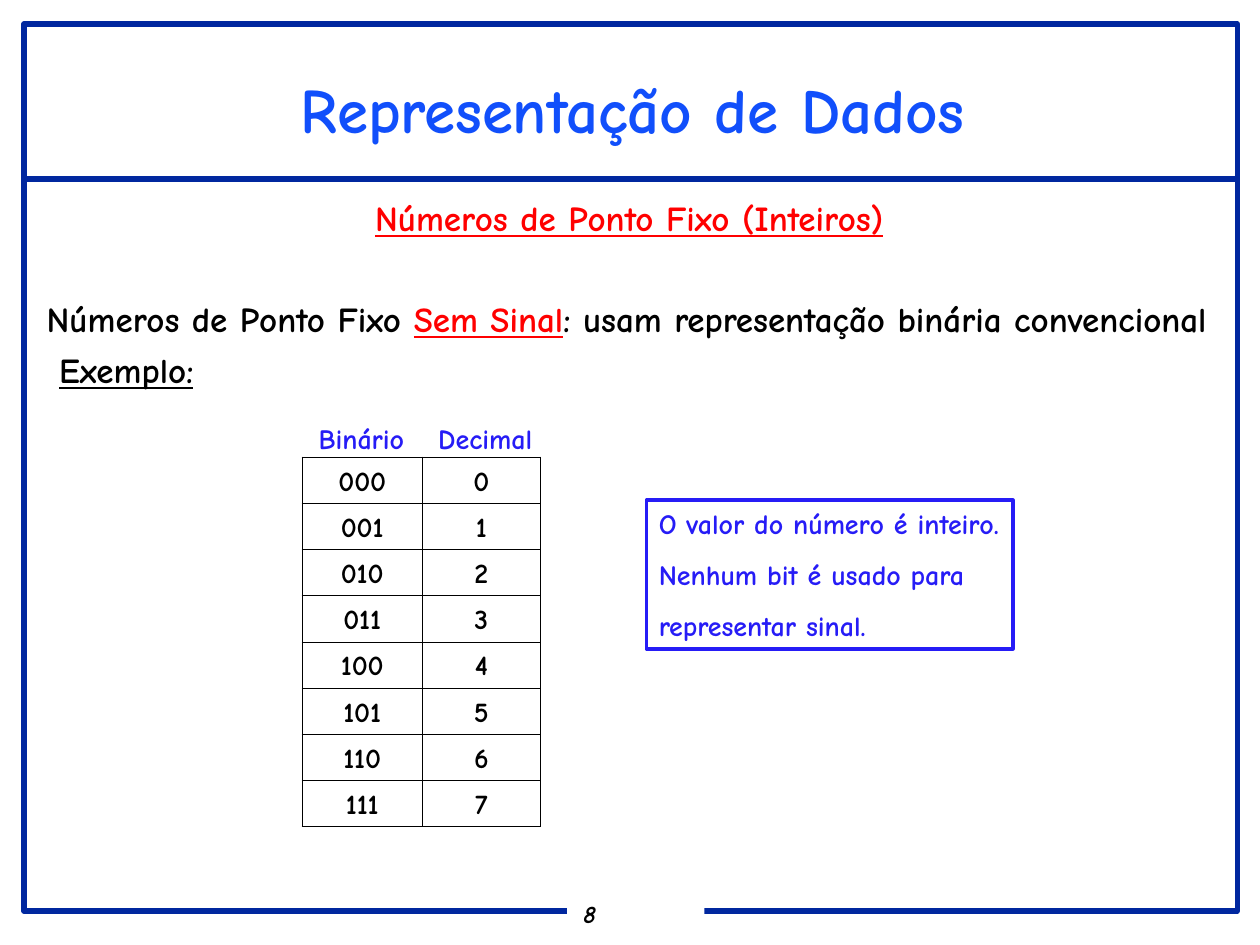
from lxml import etree
from pptx import Presentation
from pptx.dml.color import RGBColor
from pptx.enum.shapes import MSO_CONNECTOR, MSO_SHAPE
from pptx.enum.text import MSO_ANCHOR, MSO_AUTO_SIZE, PP_ALIGN
from pptx.oxml.ns import qn
from pptx.util import Inches, Pt

LEFT, CENTER, JUSTIFY = PP_ALIGN.LEFT, PP_ALIGN.CENTER, PP_ALIGN.JUSTIFY
TOP, MIDDLE, BOTTOM = MSO_ANCHOR.TOP, MSO_ANCHOR.MIDDLE, MSO_ANCHOR.BOTTOM
RECTANGLE, STRAIGHT = MSO_SHAPE.RECTANGLE, MSO_CONNECTOR.STRAIGHT
NO_AUTOFIT = MSO_AUTO_SIZE.NONE


def color(value):
    """Turn a hex string into a colour."""
    return RGBColor.from_string(value)


class SlideBuilder:
    """Holds the style and the current slide."""

    font = "Comic Neue"
    navy, blue, violet = "00279F", "114FFB", "261CF6"
    red, black, white = "FF0000", "000000", "FFFFFF"
    outer_border, inner_border = 1.08, 0.45

    def __init__(self, presentation):
        """Add a title and body slide."""
        self.slide = presentation.slides.add_slide(presentation.slide_layouts[1])

    def place(self, shape, box):
        """Move and size a shape."""
        shape.left, shape.top, shape.width, shape.height = map(Inches, box)

    def frame(self, shape, anchor=TOP, wrap=True, inset=(0.1, 0.05)):
        """Set up and return the text frame of a shape."""
        frame = shape.text_frame
        frame.auto_size = NO_AUTOFIT
        frame.word_wrap = wrap
        frame.vertical_anchor = anchor
        frame.margin_left = frame.margin_right = Inches(inset[0])
        frame.margin_top = frame.margin_bottom = Inches(inset[1])
        return frame

    def format(self, paragraph, size, ink, align=LEFT, spacing=1.0, before=0):
        """Set the layout and font of a paragraph."""
        paragraph.alignment = align
        paragraph.line_spacing = spacing
        paragraph.space_before = Pt(before)
        font = paragraph.font
        font.name, font.size, font.bold = self.font, Pt(size), True
        font.color.rgb = color(ink)

    def title(self, text, box):
        """Fill the title placeholder."""
        shape = self.slide.shapes.title
        self.place(shape, box)
        frame = self.frame(shape, MIDDLE, inset=(0.07, 0.03))
        frame.text = text
        self.format(frame.paragraphs[0], 36, self.blue, CENTER, 0.95)

    def body(self, paragraphs, box):
        """Fill the body placeholder from (align, before, indent, runs)."""
        shape = self.slide.placeholders[1]
        self.place(shape, box)
        frame = self.frame(shape)
        for index, (align, before, indent, runs) in enumerate(paragraphs):
            paragraph = frame.add_paragraph() if index else frame.paragraphs[0]
            properties = paragraph._p.get_or_add_pPr()
            properties.set("marL", str(Inches(indent)))
            properties.set("indent", "0")
            etree.SubElement(properties, qn("a:buNone"))
            self.format(paragraph, 20, self.black, align, 0.9, before)
            for text, ink, underline in runs:
                run = paragraph.add_run()
                run.text = text
                run.font.color.rgb = color(ink)
                run.font.underline = underline

    def rectangle(self, box, line=None, width=0, fill=None):
        """Draw a rectangle with an optional line and fill."""
        shape = self.slide.shapes.add_shape(RECTANGLE, *map(Inches, box))
        shape.shadow.inherit = False
        if fill:
            shape.fill.solid()
            shape.fill.fore_color.rgb = color(fill)
        else:
            shape.fill.background()
        if line:
            shape.line.color.rgb = color(line)
            shape.line.width = Pt(width)
        else:
            shape.line.fill.background()
        return shape

    def rule(self, left, right, y):
        """Draw a horizontal line."""
        ends = map(Inches, (left, y, right, y))
        connector = self.slide.shapes.add_connector(STRAIGHT, *ends)
        connector.line.color.rgb = color(self.navy)
        connector.line.width = Pt(3)
        etree.SubElement(connector._element.spPr, qn("a:effectLst"))

    def page_number(self, text, box):
        """Write the page number over a gap in the frame."""
        shape = self.rectangle(box, fill=self.white)
        frame = self.frame(shape, MIDDLE, inset=(0.13, 0.03))
        frame.text = text
        paragraph = frame.paragraphs[0]
        self.format(paragraph, 14, self.black, spacing=0.9)
        paragraph.font.italic = True

    def label(self, text, box):
        """Add a column label."""
        shape = self.slide.shapes.add_textbox(*map(Inches, box))
        frame = self.frame(shape, wrap=False)
        frame.text = text
        self.format(frame.paragraphs[0], 16, self.violet)

    def note(self, lines, box):
        """Add an outlined note."""
        shape = self.rectangle(box, self.violet, 2)
        frame = self.frame(shape, wrap=False)
        frame.text = "\n".join(lines)
        for index, paragraph in enumerate(frame.paragraphs):
            self.format(paragraph, 16, self.violet, before=10 if index else 0)

    def borders(self, cell, outer_sides):
        """Draw the four borders of a cell, heavier on its outer sides."""
        properties = cell._tc.get_or_add_tcPr()
        for side in "LRTB":
            width = self.outer_border if side in outer_sides else self.inner_border
            line = etree.SubElement(properties, qn(f"a:ln{side}"), w=str(Pt(width)))
            fill = etree.SubElement(line, qn("a:solidFill"))
            etree.SubElement(fill, qn("a:srgbClr"), val=self.black)

    def table(self, rows, left, top, widths, height):
        """Add a grid of centred values."""
        size = map(Inches, (left, top, sum(widths), height))
        table = self.slide.shapes.add_table(len(rows), len(widths), *size).table
        table.first_row = table.horz_banding = False
        for column, width in zip(table.columns, widths):
            column.width = Inches(width)
        last_row = len(rows) - 1
        for row_index, row in enumerate(rows):
            for column_index, text in enumerate(row):
                cell = table.cell(row_index, column_index)
                outer = "R" if column_index else "L"
                outer += {0: "T", last_row: "B"}.get(row_index, "")
                self.borders(cell, outer)
                cell.fill.background()
                cell.vertical_anchor = BOTTOM
                cell.text = text
                paragraph = cell.text_frame.paragraphs[0]
                self.format(paragraph, 16, self.black, CENTER, 0.9)


def main():
    """Build the slide and save it."""
    presentation = Presentation()
    presentation.slide_width, presentation.slide_height = Inches(10), Inches(7.5)
    builder = SlideBuilder(presentation)
    red, black = builder.red, builder.black

    builder.rule(0.19, 9.81, 1.42)
    builder.rectangle((0.19, 0.19, 9.63, 7.04), builder.navy, 3)
    builder.page_number("8", (4.5, 7.13, 1.09, 0.27))
    builder.title("Representação de Dados", (1.99, 0.57, 6.06, 0.63))
    builder.body([
        (CENTER, 0, 0, [("Números de Ponto Fixo (Inteiros)", red, True)]),
        (JUSTIFY, 36, 0, [
            ("Números de Ponto Fixo ", black, False),
            ("Sem Sinal", red, True),
            (": usam representação binária convencional", black, False),
        ]),
        (LEFT, 7.5, 0.1, [("Exemplo:", black, True)]),
    ], (0.27, 1.55, 9.45, 5.13))
    values = [(f"{number:03b}", str(number)) for number in range(8)]
    builder.table(values, 2.4, 3.63, (0.95, 0.94), 2.93)
    builder.label("Binário", (2.43, 3.3, 0.88, 0.37))
    builder.label("Decimal", (3.38, 3.3, 0.94, 0.37))
    builder.note([
        "O valor do número é inteiro.",
        "Nenhum bit é usado para",
        "representar sinal.",
    ], (5.13, 3.97, 2.91, 1.18))
    presentation.save("out.pptx")


if __name__ == "__main__":
    main()
